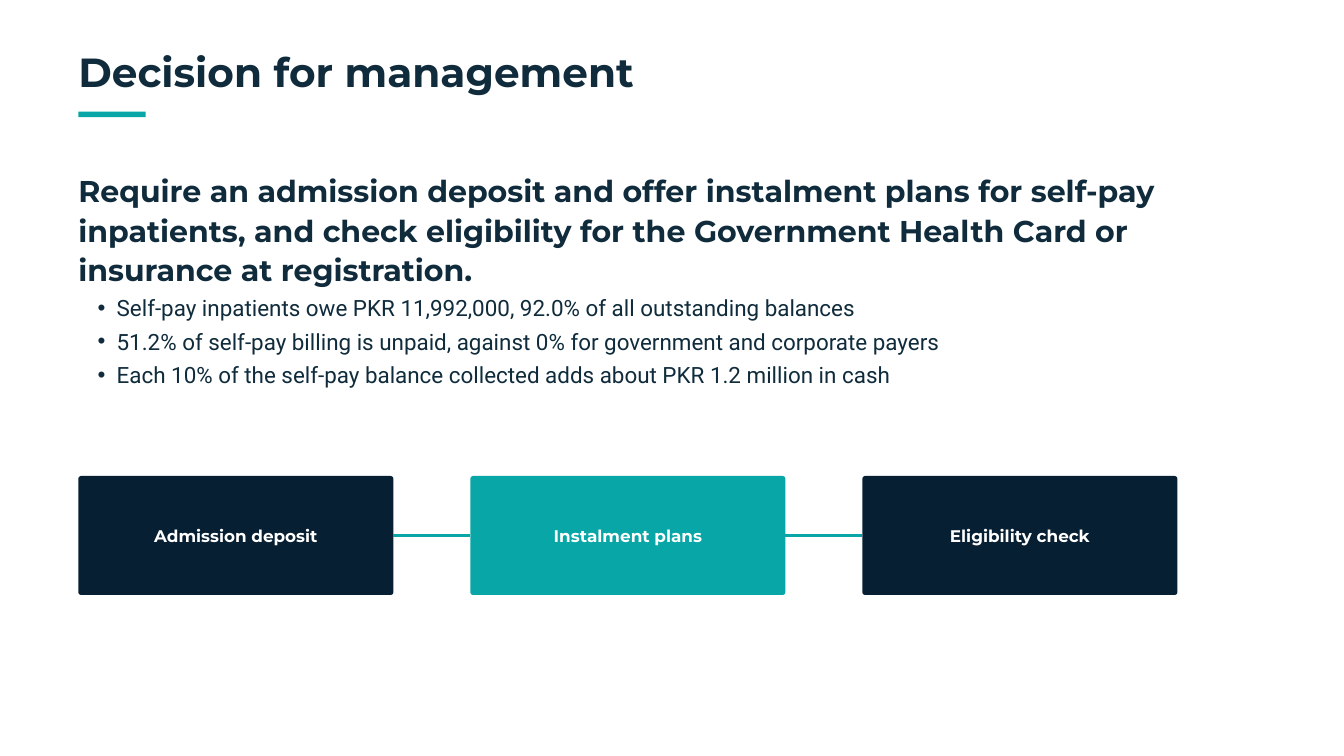
import pptx
import pptx.dml.color
import pptx.enum.shapes
import pptx.enum.text
import pptx.oxml.ns
import pptx.util
from lxml import etree

Pt = pptx.util.Pt
RGBColor = pptx.dml.color.RGBColor
MSO_SHAPE = pptx.enum.shapes.MSO_SHAPE
MSO_ANCHOR = pptx.enum.text.MSO_ANCHOR
PP_ALIGN = pptx.enum.text.PP_ALIGN

INK = RGBColor(0x10, 0x2C, 0x3C)
NAVY = RGBColor(0x07, 0x1F, 0x33)
TEAL = RGBColor(0x08, 0xA6, 0xA6)
WHITE = RGBColor(0xFF, 0xFF, 0xFF)

LEFT = Pt(84)
TEXT_WIDTH = Pt(1272)


def write_text(shape, *lines, size, line_height, font="Montserrat", color=INK, bold=True,
               align=PP_ALIGN.LEFT, anchor=MSO_ANCHOR.TOP, margin=0, bullet=None):
    """Fill a shape with one paragraph per line, all in the same format."""
    frame = shape.text_frame
    frame.word_wrap = True
    frame.auto_size = pptx.enum.text.MSO_AUTO_SIZE.NONE
    frame.vertical_anchor = anchor
    frame.margin_left = frame.margin_right = Pt(margin)
    frame.margin_top = frame.margin_bottom = Pt(margin)
    for index, line in enumerate(lines):
        paragraph = frame.paragraphs[0] if index == 0 else frame.add_paragraph()
        if bullet:
            paragraph.level = 1
            properties = paragraph._p.get_or_add_pPr()
            properties.set("marL", str(Pt(41)))
            properties.set("indent", str(-Pt(20.5)))
            mark = etree.SubElement(properties, pptx.oxml.ns.qn("a:buChar"))
            mark.set("char", bullet)
        paragraph.alignment = align
        paragraph.line_spacing = Pt(line_height)
        paragraph.space_before = paragraph.space_after = Pt(0)
        run = paragraph.add_run()
        run.text = line
        run.font.name = font
        run.font.size = Pt(size)
        run.font.bold = bold
        run.font.color.rgb = color


def add_filled_shape(kind, left, top, width, height, color):
    shape = slide.shapes.add_shape(kind, left, top, width, height)
    shape.shadow.inherit = False
    shape.fill.solid()
    shape.fill.fore_color.rgb = color
    shape.line.fill.background()
    return shape


presentation = pptx.Presentation()
presentation.slide_width = Pt(1440)
presentation.slide_height = Pt(810)
slide = presentation.slides.add_slide(presentation.slide_layouts[1])
slide.background.fill.solid()
slide.background.fill.fore_color.rgb = WHITE

# Title with its accent bar
title = slide.shapes.title
title.left, title.top, title.width, title.height = LEFT, Pt(55.5), Pt(1124.5), Pt(47.5)
write_text(title, "Decision for management", size=43.5, line_height=47)
add_filled_shape(MSO_SHAPE.RECTANGLE, LEFT, Pt(119.5), Pt(72), Pt(6), TEAL)

# Recommendation and its evidence
recommendation = slide.shapes.add_textbox(LEFT, Pt(182), TEXT_WIDTH, Pt(122))
write_text(
    recommendation,
    "Require an admission deposit and offer instalment plans for self-pay inpatients, "
    "and check eligibility for the Government Health Card or insurance at registration.",
    size=32.2, line_height=41.9)

evidence = slide.placeholders[1]
evidence.left, evidence.top, evidence.width, evidence.height = LEFT, Pt(308), TEXT_WIDTH, Pt(108)
write_text(
    evidence,
    "Self-pay inpatients owe PKR 11,992,000, 92.0% of all outstanding balances",
    "51.2% of self-pay billing is unpaid, against 0% for government and corporate payers",
    "Each 10% of the self-pay balance collected adds about PKR 1.2 million in cash",
    size=24, line_height=36, font="Roboto", bold=False, bullet="•")

# Three linked actions
BOX_WIDTH, BOX_HEIGHT, BOX_PITCH = Pt(337.5), Pt(127.5), Pt(420)
actions = [("Admission deposit", NAVY), ("Instalment plans", TEAL), ("Eligibility check", NAVY)]
boxes = []
for index, (label, color) in enumerate(actions):
    box = add_filled_shape(MSO_SHAPE.ROUNDED_RECTANGLE, LEFT + index * BOX_PITCH, Pt(510),
                           BOX_WIDTH, BOX_HEIGHT, color)
    box.adjustments[0] = Pt(3) / BOX_HEIGHT
    write_text(box, label, size=18, line_height=25.2, color=WHITE,
               align=PP_ALIGN.CENTER, anchor=MSO_ANCHOR.MIDDLE, margin=4.5)
    box.text_frame.margin_bottom = Pt(6.5)
    boxes.append(box)

for start, end in zip(boxes, boxes[1:]):
    link = slide.shapes.add_connector(pptx.enum.shapes.MSO_CONNECTOR.STRAIGHT, 0, 0, 0, 0)
    link.begin_connect(start, 3)
    link.end_connect(end, 1)
    link.line.color.rgb = TEAL
    link.line.width = Pt(3.75)
    etree.SubElement(link._element.spPr, pptx.oxml.ns.qn("a:effectLst"))

presentation.save("out.pptx")
